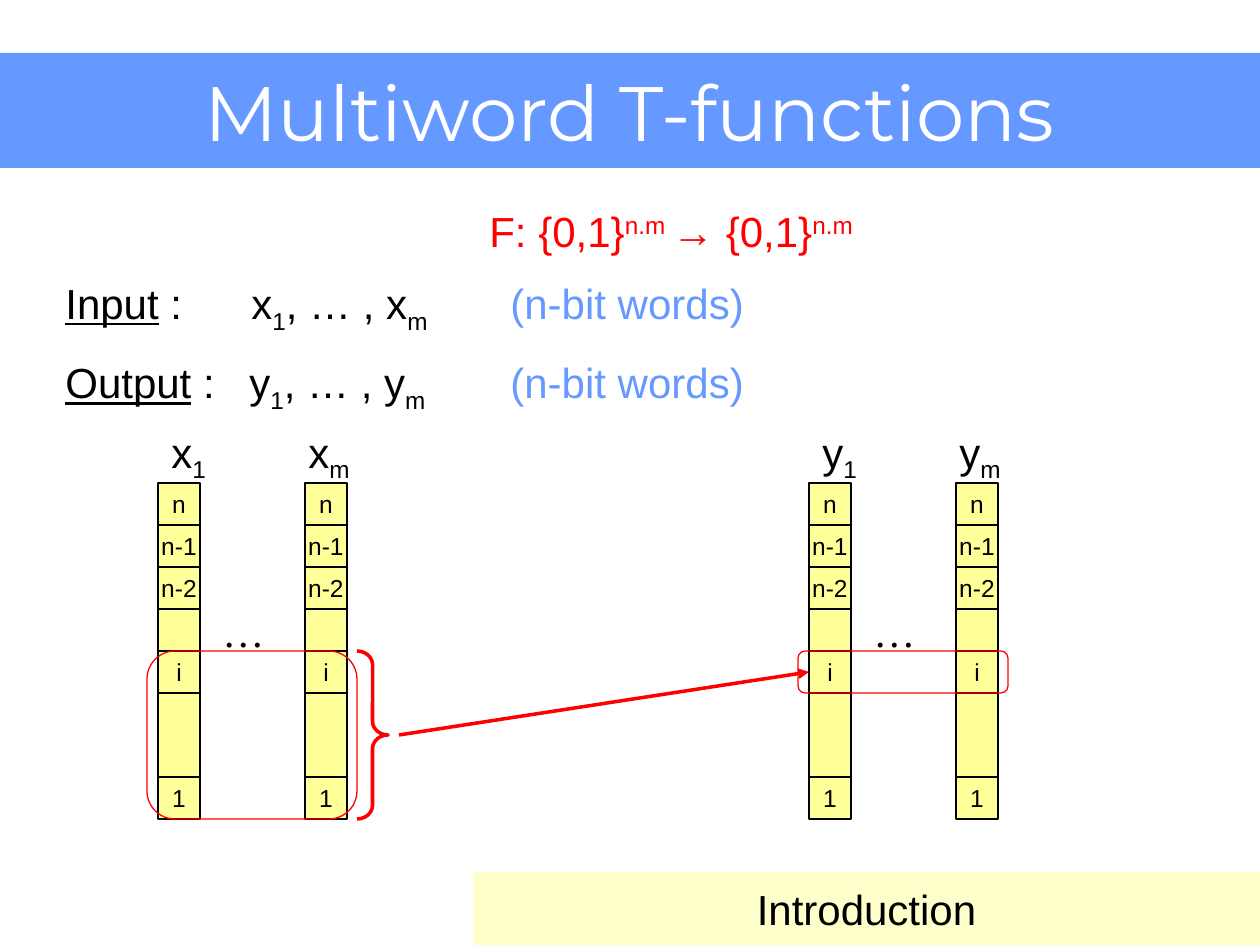
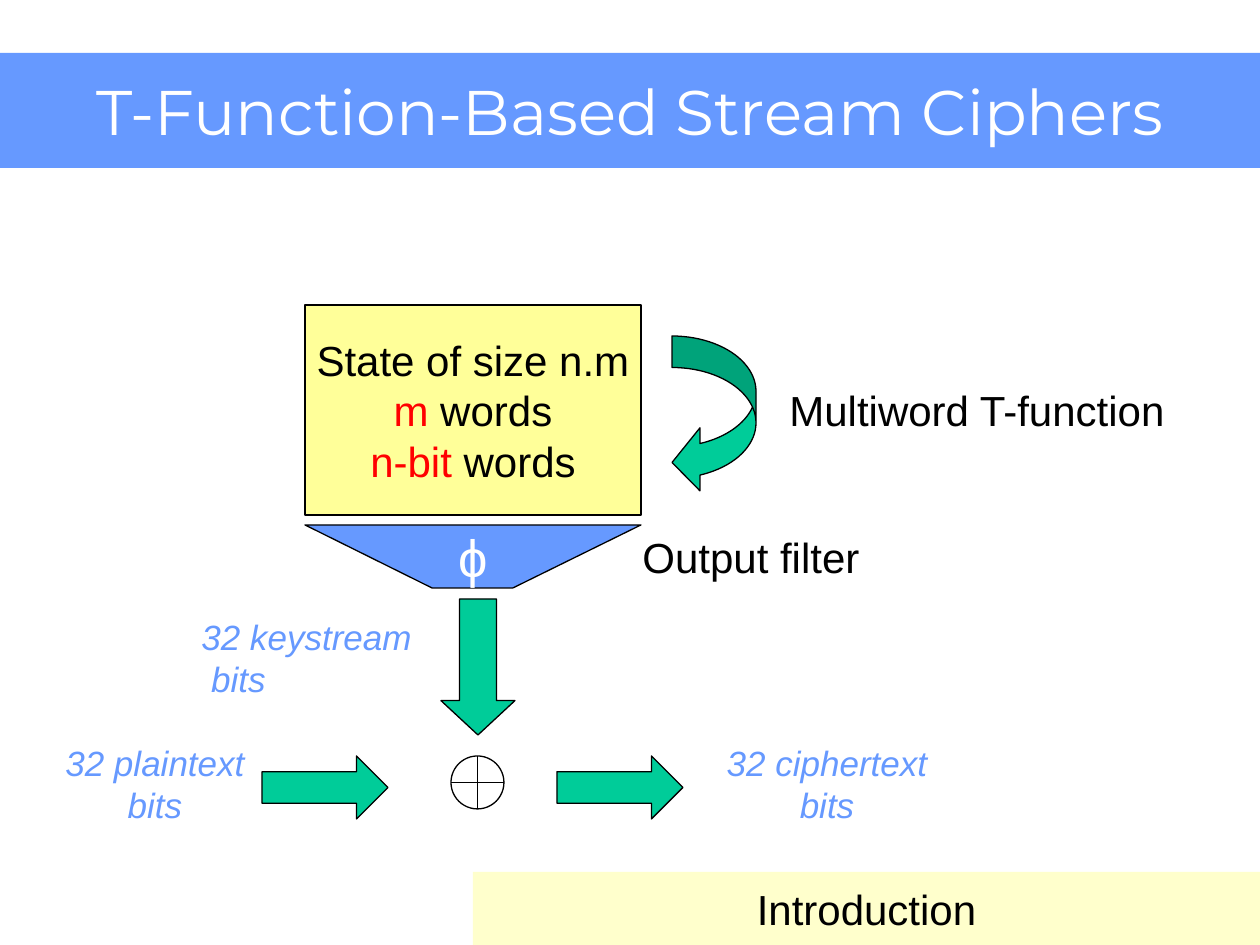
from lxml import etree
from pptx import Presentation
from pptx.dml.color import RGBColor
from pptx.enum.shapes import MSO_CONNECTOR, MSO_SHAPE as SHAPE
from pptx.enum.text import MSO_ANCHOR, MSO_AUTO_SIZE, PP_ALIGN as ALIGN
from pptx.oxml.ns import qn
from pptx.util import Emu, Pt

PIXEL = 914400 / 126
SLIDE_WIDTH, SLIDE_HEIGHT = 1260, 945
BLACK, WHITE, RED = "000000", "FFFFFF", "FF0000"
BLUE, GREEN, YELLOW, CREAM = "6699FF", "00CC99", "FFFF99", "FFFFCC"
THIN, THICK = 0.74, 2

TITLE_BOX = (0, 53, SLIDE_WIDTH, 115)
FOOTER_BOX = (473, 872, 787, 73)
FOOTER = "Introduction"

# Run formats
PLAIN = {"name": "Arial", "size": 24, "color": BLACK}
SMALL = PLAIN | {"size": 14}
SERIF = PLAIN | {"name": "Times New Roman"}
FILTER = PLAIN | {"size": 30, "color": WHITE}
BITS = PLAIN | {"size": 20, "color": BLUE, "italic": True}
SUB, SUPER = {"baseline": -25}, {"baseline": 30}
IN_RED, IN_BLUE, UNDERLINED = {"color": RED}, {"color": BLUE}, {"underline": True}

# Slide 1: definition lines (tab stops, runs), then bit columns
DEFINITION_BOX = (53, 189, 1165, 609)
DEFINITION = [
    ([424], [("\tF: {0,1}", IN_RED), ("n.m ", IN_RED | SUPER),
             ("→ {0,1}", IN_RED), ("n.m", IN_RED | SUPER)]),
    ([186, 445], [("Input", UNDERLINED), (" :\tx", {}), ("1", SUB), (", … , x", {}),
                  ("m", SUB), ("\t(n-bit words)", IN_BLUE)]),
    ([184, 445], [("Output", UNDERLINED), (" :\ty", {}), ("1", SUB), (", … , y", {}),
                  ("m", SUB), ("\t(n-bit words)", IN_BLUE)]),
]
WORD_GROUPS = [("x", 158), ("y", 809)]
# index, column offset, label offset, label width
WORDS = [("1", 0, 1, 64), ("m", 147, 138, 72)]
# label, first row, rows covered
CELLS = [("n", 0, 1), ("n-1", 1, 1), ("n-2", 2, 1), ("1", 7, 1), ("", 3, 4), ("i", 4, 1)]
CELL, COLUMN_TOP, FRAME_MARGIN = 42, 483, 11
FRAME_WIDTH = 210
ROW_I = COLUMN_TOP + 4 * CELL

# Slide 2: cipher parts
STATE_BOX = (305, 305, 336, 210)
STATE = [[("State of size n.m", {})],
         [("m", IN_RED), (" words", {})],
         [("n-bit", IN_RED), (" words", {})]]
FILTER_CORNERS = [(305, 525), (641, 525), (513, 588), (432, 588)]
GREEN_ARROWS = [
    (SHAPE.CURVED_LEFT_ARROW, (672, 336, 84, 158), [0.375, 0.75, 0.333]),
    (SHAPE.DOWN_ARROW, (441, 599, 74, 136), [0.5, 0.464]),
    (SHAPE.RIGHT_ARROW, (262, 756, 126, 63), [0.5, 0.5]),
    (SHAPE.RIGHT_ARROW, (557, 756, 126, 63), [0.5, 0.5]),
]
XOR_BOX = (451, 756, 53, 53)
CIPHER_LABELS = [
    ((777, 378, 408, 63), ["Multiword T-function"], PLAIN, ALIGN.LEFT),
    ((630, 525, 247, 63), ["Output filter"], PLAIN, ALIGN.LEFT),
    ((189, 609, 241, 97), ["32 keystream", " bits"], BITS, ALIGN.LEFT),
    ((51, 735, 208, 97), ["32 plaintext", "bits"], BITS, ALIGN.CENTER),
    ((712, 735, 230, 97), ["32 ciphertext", "bits"], BITS, ALIGN.CENTER),
]


def px(value):
    """Turn pixels into EMU."""
    return Emu(round(value * PIXEL))


def rgb(color):
    """Turn a hex string into a colour."""
    return RGBColor.from_string(color)


def plain(*lines):
    """Make paragraphs of one unformatted run each."""
    return [[(line, {})] for line in lines]


def write(shape, paragraphs, base, align=ALIGN.CENTER, anchor=MSO_ANCHOR.MIDDLE, wrap=False):
    """Fill a shape with paragraphs of (text, format changes) runs."""
    frame = shape.text_frame
    frame.word_wrap = wrap
    frame.vertical_anchor = anchor
    for index, runs in enumerate(paragraphs):
        paragraph = frame.add_paragraph() if index else frame.paragraphs[0]
        paragraph.alignment = align
        for text, changes in runs:
            run = paragraph.add_run()
            run.text = text
            for key, value in (base | changes).items():
                if key == "color":
                    run.font.color.rgb = rgb(value)
                elif key == "baseline":
                    run._r.get_or_add_rPr().set("baseline", str(value * 1000))
                else:
                    setattr(run.font, key, Pt(value) if key == "size" else value)


def paint(shape, fill=None, line=BLACK, width=THIN):
    """Set fill and outline, and drop the shadow."""
    shape.shadow.inherit = False
    if fill:
        shape.fill.solid()
        shape.fill.fore_color.rgb = rgb(fill)
    else:
        shape.fill.background()
    if line:
        shape.line.color.rgb = rgb(line)
        shape.line.width = Pt(width)
    else:
        shape.line.fill.background()


def add_shape(slide, kind, box, adjustments=(), **style):
    """Add a painted preset shape."""
    shape = slide.shapes.add_shape(kind, *map(px, box))
    for index, value in enumerate(adjustments):
        shape.adjustments[index] = value
    paint(shape, **style)
    return shape


def add_label(slide, box, paragraphs, base=PLAIN, align=ALIGN.LEFT):
    """Add a text box that grows with its text."""
    label = slide.shapes.add_textbox(*map(px, box))
    write(label, paragraphs, base, align, MSO_ANCHOR.TOP)
    label.text_frame.auto_size = MSO_AUTO_SIZE.SHAPE_TO_FIT_TEXT


def add_arrow(slide, start, end):
    """Add a thick red line with an arrowhead at its end."""
    arrow = slide.shapes.add_connector(MSO_CONNECTOR.STRAIGHT, *map(px, start + end))
    arrow.line.color.rgb = rgb(RED)
    arrow.line.width = Pt(THICK)
    etree.SubElement(arrow.line._get_or_add_ln(), qn("a:tailEnd"), type="triangle")
    etree.SubElement(arrow._element.spPr, qn("a:effectLst"))


def add_slide(presentation, title, size):
    """Add a slide with the title band and the footer band."""
    slide = presentation.slides.add_slide(presentation.slide_layouts[6])
    footer = add_shape(slide, SHAPE.RECTANGLE, FOOTER_BOX, fill=CREAM, line=None)
    write(footer, plain(FOOTER), PLAIN)
    band = add_shape(slide, SHAPE.RECTANGLE, TITLE_BOX, fill=BLUE, line=None)
    write(band, plain(title), {"name": "Montserrat", "size": size, "color": WHITE}, wrap=True)
    return slide


def add_definition(slide):
    """Add the definition lines, aligned by tab stops."""
    body = slide.shapes.add_textbox(*map(px, DEFINITION_BOX))
    write(body, [runs for _, runs in DEFINITION], PLAIN, ALIGN.LEFT, MSO_ANCHOR.TOP, wrap=True)
    for paragraph, (stops, _) in zip(body.text_frame.paragraphs, DEFINITION):
        paragraph.line_spacing = 1.2
        paragraph.space_before = Pt(6)
        tabs = etree.SubElement(paragraph._p.get_or_add_pPr(), qn("a:tabLst"))
        for stop in stops:
            etree.SubElement(tabs, qn("a:tab"), pos=str(px(stop)), algn="l")


def add_words(slide, letter, left):
    """Add the first and last word of a group as columns of bits."""
    for index, offset, label_offset, label_width in WORDS:
        for text, row, rows in CELLS:
            box = (left + offset, COLUMN_TOP + row * CELL, CELL, rows * CELL)
            cell = add_shape(slide, SHAPE.RECTANGLE, box, fill=YELLOW)
            if text:
                write(cell, plain(text), SMALL)
        add_label(slide, (left + label_offset, 420, label_width, 71),
                  [[(letter, {}), (index, SUB)]])
    add_label(slide, (left + 52, 599, 67, 63), plain("…"), SERIF)


def build_multiword(presentation):
    """Build the slide on multiword T-functions."""
    slide = add_slide(presentation, "Multiword T-functions", 44)
    add_definition(slide)
    for letter, left in WORD_GROUPS:
        add_words(slide, letter, left)
    for (_, left), rows in zip(WORD_GROUPS, (4, 1)):
        box = (left - FRAME_MARGIN, ROW_I, FRAME_WIDTH, rows * CELL)
        add_shape(slide, SHAPE.ROUNDED_RECTANGLE, box, [0.167], line=RED)
    add_shape(slide, SHAPE.RIGHT_BRACE, (357, ROW_I, 31, 4 * CELL), [0.44, 0.5],
              line=RED, width=THICK)
    add_arrow(slide, (399, ROW_I + 2 * CELL), (809, ROW_I + CELL // 2))


def build_ciphers(presentation):
    """Build the slide on stream ciphers."""
    slide = add_slide(presentation, "T-Function-Based Stream Ciphers", 36)
    state = add_shape(slide, SHAPE.RECTANGLE, STATE_BOX, fill=YELLOW)
    write(state, STATE, PLAIN)
    for kind, box, adjustments in GREEN_ARROWS:
        add_shape(slide, kind, box, adjustments, fill=GREEN)
    add_shape(slide, SHAPE.FLOWCHART_OR, XOR_BOX)
    for box, lines, base, align in CIPHER_LABELS:
        add_label(slide, box, plain(*lines), base, align)
    builder = slide.shapes.build_freeform(*FILTER_CORNERS[0], scale=PIXEL)
    builder.add_line_segments(FILTER_CORNERS[1:], close=True)
    output_filter = builder.convert_to_shape()
    paint(output_filter, fill=BLUE)
    write(output_filter, plain("ϕ"), FILTER)


presentation = Presentation()
presentation.slide_width = px(SLIDE_WIDTH)
presentation.slide_height = px(SLIDE_HEIGHT)
build_multiword(presentation)
build_ciphers(presentation)
presentation.save("out.pptx")
